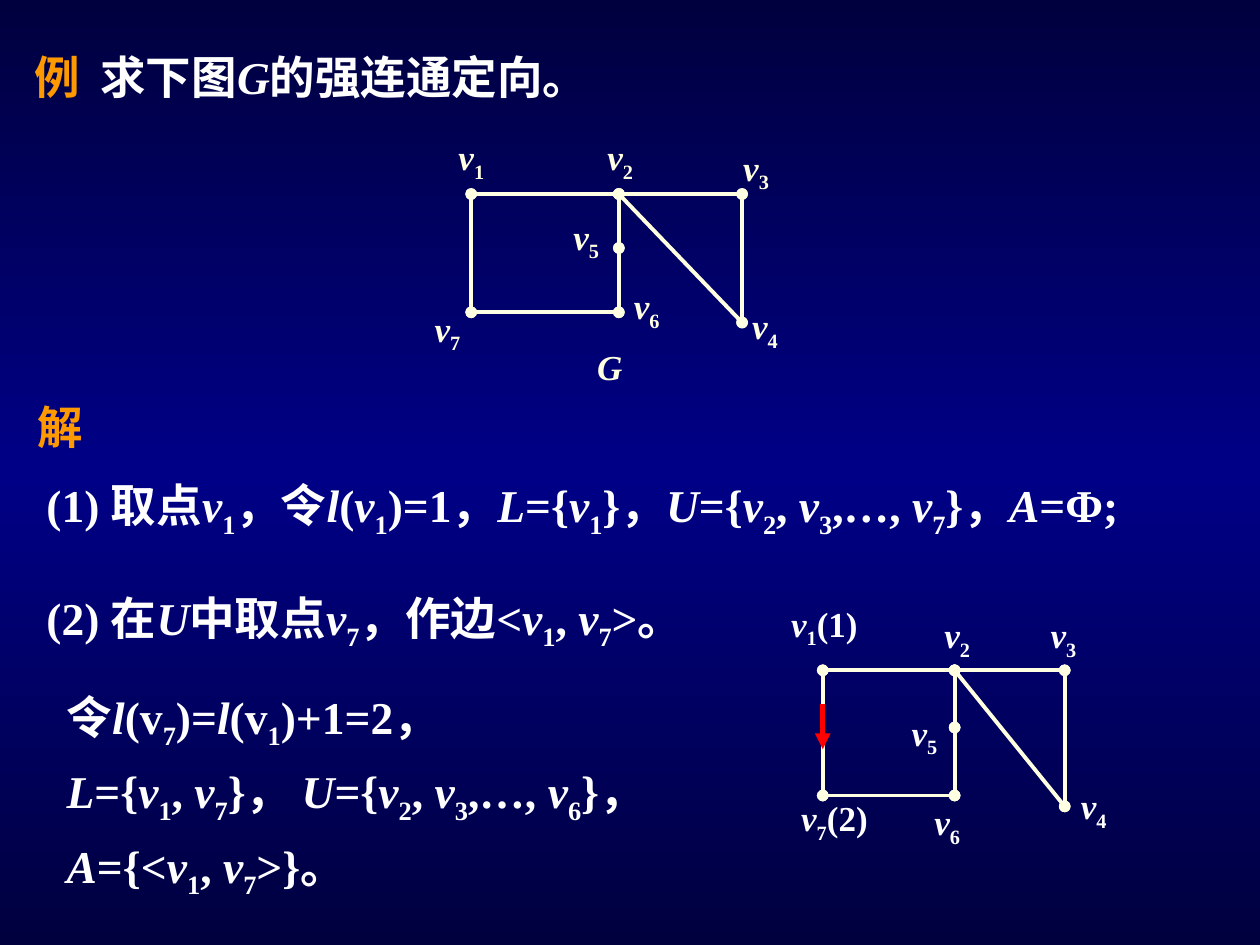
from copy import deepcopy
from itertools import groupby

from pptx import Presentation
from pptx.dml.color import RGBColor
from pptx.enum.shapes import MSO_CONNECTOR
from pptx.enum.text import MSO_ANCHOR, MSO_AUTO_SIZE, PP_ALIGN
from pptx.oxml.ns import qn
from pptx.util import Inches, Pt

COLUMNS, ROWS = 100, 75
UNIT = Inches(0.1)
WHITE, CREAM, ORANGE, RED = "FFFFFF", "FFFFE1", "FF9900", "FF0000"
BACKGROUND_STOPS = [(0, "00003E"), (0.5, "000086"), (1, "00003E")]

NODES = {
    "v1": (0, 0), "v2": (0.545, 0), "v3": (1, 0), "v4": (1, 1),
    "v5": (0.545, 0.42), "v6": (0.545, 0.92), "v7": (0, 0.92),
}
EDGES = [("v1", "v7"), ("v7", "v6"), ("v1", "v2"), ("v2", "v5"),
         ("v5", "v6"), ("v2", "v3"), ("v3", "v4"), ("v2", "v4")]
PLAIN_LABELS = {
    "v1": ("*v*_1", -2, -5.1, 5.1), "v2": ("*v*_2", -1.9, -5.1, 5.1),
    "v3": ("*v*_3", -0.9, -4.3, 5.1), "v4": ("*v*_4", -0.2, -1.9, 5.1),
    "v5": ("*v*_5", -4.6, -3.1, 5.1), "v6": ("*v*_6", 0.2, -2.7, 5.1),
    "v7": ("*v*_7", -3.9, -0.9, 5.1),
}
ORIENTED_LABELS = {
    "v1": ("*v*_1(1)", -3.5, -5.9, 7.4), "v2": ("*v*_2", -1.8, -5, 4.5),
    "v3": ("*v*_3", -2.1, -5, 4.5), "v4": ("*v*_4", 0.3, -2.2, 4.5),
    "v5": ("*v*_5", -4.4, -1.8, 4.5), "v6": ("*v*_6", -2.6, -0.1, 4.5),
    "v7": ("*v*_7(2)", -2.7, -0.4, 8.2),
}
STEPS = [
    ((2.7, 37.4, 89.8, 10.3),
     "(1) 取点*v*_1，令*l*(*v*_1)=1，*L*={*v*_1}，"
     "*U*={*v*_2, *v*_3,…, *v*_7}，*A*=Φ;"),
    ((2.7, 46.3, 77.2, 6), "(2) 在*U*中取点*v*_7，作边<*v*_1, *v*_7>。"),
]
RESULT = ["令*l*(v_7)=*l*(v_1)+1=2，",
          "*L*={*v*_1, *v*_7}， *U*={*v*_2, *v*_3,…, *v*_6}，"
          "*A*={<*v*_1, *v*_7>}。"]


def rgb(value):
    """Turn a hex string into a colour."""
    return RGBColor.from_string(value)


def assign(target, values):
    """Set attributes of an object from a dict of format values."""
    for name, value in values.items():
        setattr(target, name, value)


def place(shape, box):
    """Move a shape to a box given in columns and rows."""
    edges = ("left", "top", "width", "height")
    assign(shape, {edge: int(size * UNIT) for edge, size in zip(edges, box)})


def styled_characters(markup):
    """Yield characters with styles: *italic*, _subscript, #accent#."""
    italic = accent = lowered = False
    for character in markup:
        if character == "*":
            italic = not italic
        elif character == "#":
            accent = not accent
        elif character == "_":
            lowered = True
        else:
            yield character, (italic, accent, lowered)
            lowered = False


def write(shape, paragraphs, size, color, font="Times New Roman", spacing=None):
    """Fill a shape with paragraphs of marked-up text."""
    frame = shape.text_frame
    assign(frame, {"word_wrap": True, "vertical_anchor": MSO_ANCHOR.TOP,
                   "auto_size": MSO_AUTO_SIZE.SHAPE_TO_FIT_TEXT})
    for index, markup in enumerate(paragraphs):
        paragraph = frame.add_paragraph() if index else frame.paragraphs[0]
        assign(paragraph, {"alignment": PP_ALIGN.LEFT, "line_spacing": spacing})
        for style, group in groupby(styled_characters(markup), lambda pair: pair[1]):
            italic, accent, lowered = style
            run = paragraph.add_run()
            run.text = "".join(character for character, _ in group)
            assign(run.font, {"name": font, "size": Pt(size), "bold": True,
                              "italic": italic})
            run.font.color.rgb = rgb(ORANGE if accent else color)
            if lowered:
                run.font._element.set("baseline", "-25000")


def add_text(shapes, box, paragraphs, size=26, color=WHITE, **options):
    """Add a text box at a box given in columns and rows."""
    shape = shapes.add_textbox(0, 0, UNIT, UNIT)
    place(shape, box)
    write(shape, paragraphs, size, color, **options)


def add_line(shapes, start, end, color, width, ends):
    """Draw a straight line with the given head and tail ends."""
    points = [int(value * UNIT) for value in (*start, *end)]
    connector = shapes.add_connector(MSO_CONNECTOR.STRAIGHT, *points)
    connector.line.color.rgb = rgb(color)
    connector.line.width = Pt(width)
    properties = connector._element.spPr
    outline = properties.find(qn("a:ln"))
    for tag, kind in ends.items():
        outline.makeelement(qn(tag), {})
        end_element = outline.makeelement(qn(tag), {"type": kind})
        outline.append(end_element)
    properties.append(properties.makeelement(qn("a:effectLst"), {}))


def add_graph(slide, box, labels, color):
    """Draw the seven-node graph in a box and return its group's shapes."""
    left, top, width, height = box
    shapes = slide.shapes.add_group_shape().shapes
    points = {name: (left + x * width, top + y * height)
              for name, (x, y) in NODES.items()}
    for first, second in EDGES:
        add_line(shapes, points[first], points[second], CREAM, 2.25,
                 {"a:headEnd": "oval", "a:tailEnd": "oval"})
    for name, (markup, across, down, label_width) in labels.items():
        x, y = points[name]
        add_text(shapes, (x + across, y + down, label_width, 4.8), [markup], 20, color)
    return shapes


def add_problem(slide, box):
    """Draw the undirected graph with its caption."""
    left, top, width, height = box
    shapes = add_graph(slide, box, PLAIN_LABELS, CREAM)
    add_text(shapes, (left + 9, top + height + 1.3, 4.4, 4.4), ["*G*"], 20, CREAM)


def add_orientation(slide, box):
    """Draw the graph with its first oriented edge."""
    left, top, _, height = box
    shapes = add_graph(slide, box, ORIENTED_LABELS, WHITE)
    add_line(shapes, (left, top + height * 0.25), (left, top + height * 0.58),
             RED, 3, {"a:tailEnd": "triangle"})


def add_solution(slide):
    """Write the solution heading, its steps and the result."""
    add_text(slide.shapes, (2, 31.2, 10.2, 5.4), ["#解#"], font="Arial")
    for box, markup in STEPS:
        add_text(slide.shapes, box, [markup])
    add_text(slide.shapes, (4.3, 53.2, 55.1, 18.8), RESULT, spacing=1.2)


def paint_background(slide):
    """Fill the background with a vertical gradient."""
    fill = slide.background.fill
    fill.gradient()
    fill.gradient_angle = 270
    stop_list = slide._element.xpath(".//a:gsLst")[0]
    stop_list.append(deepcopy(stop_list[0]))
    for stop, (position, color) in zip(fill.gradient_stops, BACKGROUND_STOPS):
        stop.position = position
        stop.color.rgb = rgb(color)


def main():
    """Build and save the presentation."""
    presentation = Presentation()
    assign(presentation, {"slide_width": COLUMNS * UNIT, "slide_height": ROWS * UNIT})
    slide = presentation.slides.add_slide(presentation.slide_layouts[5])
    paint_background(slide)
    place(slide.shapes.title, (1.7, 3.4, 64, 5.4))
    write(slide.shapes.title, ["#例  #求下图*G*的强连通定向。"], 26, WHITE)
    add_problem(slide, (37.4, 15.4, 21.5, 10.2))
    add_orientation(slide, (65.3, 53.2, 19.2, 10.8))
    add_solution(slide)
    presentation.save("out.pptx")


if __name__ == "__main__":
    main()
